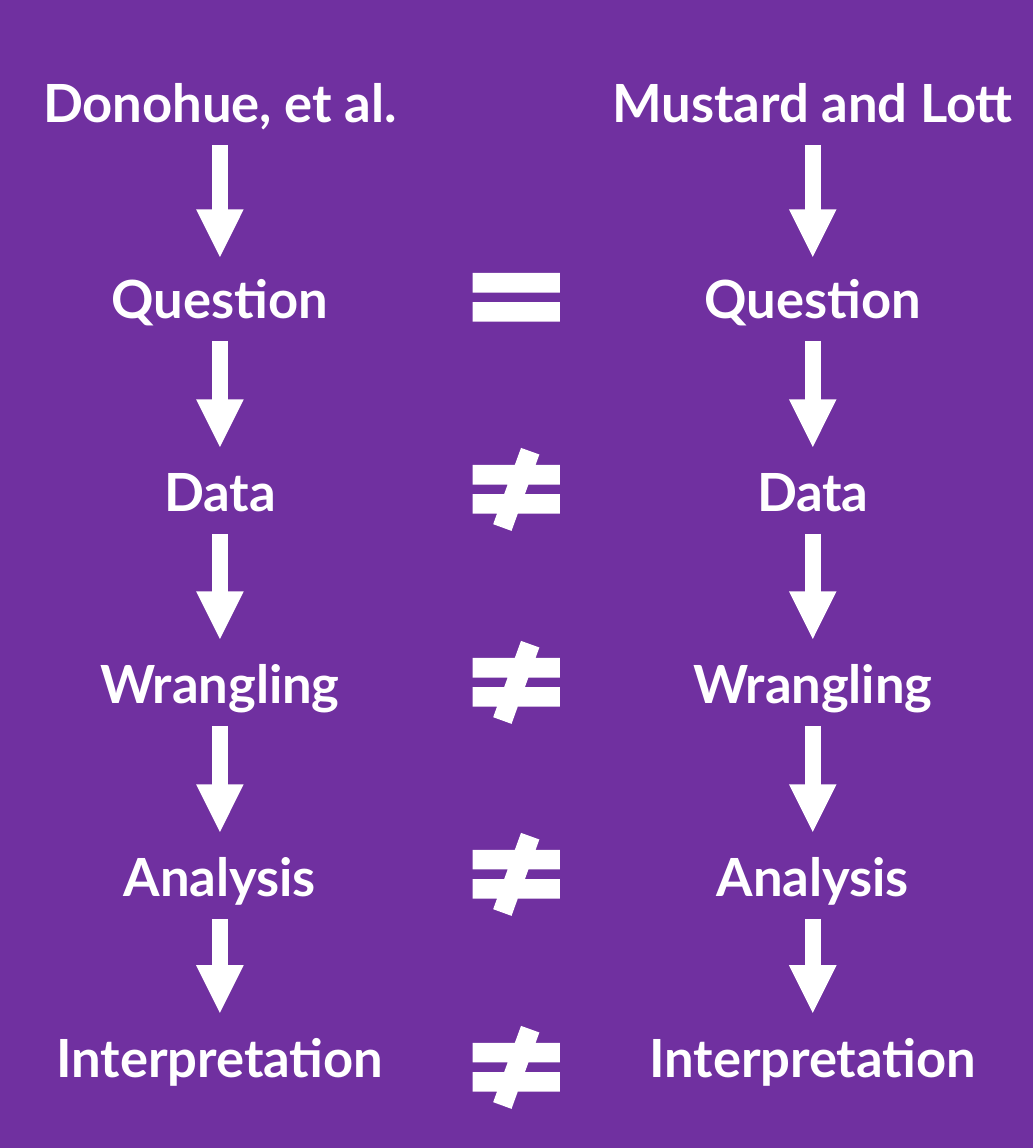
from dataclasses import dataclass

import pptx
import pptx.dml.color
import pptx.enum.shapes
import pptx.enum.text
import pptx.oxml
import pptx.oxml.ns
import pptx.slide
import pptx.util

PURPLE = pptx.dml.color.RGBColor(0x70, 0x30, 0xA0)
WHITE = pptx.dml.color.RGBColor(0xFF, 0xFF, 0xFF)
EMU_PER_PIXEL = 914400 / 229.6
BOX_WIDTH, BOX_HEIGHT = 592, 87
MARK_LEFT, MARK_TOP, MARK_WIDTH, MARK_HEIGHT = 457, 256, 119, 83
TWO_MARK_PITCHES = 385
EQUAL = pptx.enum.shapes.MSO_SHAPE.MATH_EQUAL
NOT_EQUAL = pptx.enum.shapes.MSO_SHAPE.MATH_NOT_EQUAL


@dataclass(frozen=True)
class Study:
    authors: str
    left: int


@dataclass(frozen=True)
class Step:
    label: str
    top: int
    arrow_tip: int
    mark: pptx.enum.shapes.MSO_SHAPE


STUDIES = [Study("Donohue, et al.", -76), Study("Mustard and Lott", 517)]
AUTHORS_TOP = 58
STEPS = [
    Step("Question", 254, 257, EQUAL),
    Step("Data", 447, 447, NOT_EQUAL),
    Step("Wrangling", 639, 639, NOT_EQUAL),
    Step("Analysis", 832, 832, NOT_EQUAL),
    Step("Interpretation", 1013, 1013, NOT_EQUAL),
]


def px(pixels: int) -> pptx.util.Emu:
    return pptx.util.Emu(round(pixels * EMU_PER_PIXEL))


def add_label(page: pptx.slide.Slide, text: str, left: int, top: int) -> None:
    box = page.shapes.add_textbox(px(left), px(top), px(BOX_WIDTH), px(BOX_HEIGHT))
    frame = box.text_frame
    frame.word_wrap = True
    frame.auto_size = pptx.enum.text.MSO_AUTO_SIZE.SHAPE_TO_FIT_TEXT
    frame.vertical_anchor = pptx.enum.text.MSO_ANCHOR.MIDDLE
    para = frame.paragraphs[0]
    para.alignment = pptx.enum.text.PP_ALIGN.CENTER
    span = para.add_run()
    span.text = text
    span.font.name = "Lato"
    span.font.size = pptx.util.Pt(16.5)
    span.font.bold = True
    span.font.color.rgb = WHITE


def add_arrow(page: pptx.slide.Slide, center: int, start: int, tip: int) -> None:
    arrow = page.shapes.add_connector(
        pptx.enum.shapes.MSO_CONNECTOR.STRAIGHT,
        px(center), px(start), px(center), px(tip),
    )
    arrow.line.color.rgb = WHITE
    arrow.line.width = pptx.util.Pt(5)
    head = pptx.oxml.parse_xml(
        f'<a:tailEnd {pptx.oxml.ns.nsdecls("a")} type="triangle"/>'
    )
    arrow.line._get_or_add_ln().append(head)
    arrow._element.spPr.append(
        pptx.oxml.parse_xml(f'<a:effectLst {pptx.oxml.ns.nsdecls("a")}/>')
    )


def add_mark(page: pptx.slide.Slide, kind: pptx.enum.shapes.MSO_SHAPE, row: int) -> None:
    top = MARK_TOP + row * TWO_MARK_PITCHES // 2
    mark = page.shapes.add_shape(
        kind, px(MARK_LEFT), px(top), px(MARK_WIDTH), px(MARK_HEIGHT)
    )
    mark.shadow.inherit = False
    mark.fill.solid()
    mark.fill.fore_color.rgb = WHITE
    mark.line.fill.background()


def add_study(page: pptx.slide.Slide, study: Study) -> None:
    add_label(page, study.authors, study.left, AUTHORS_TOP)
    previous_top = AUTHORS_TOP
    for step in STEPS:
        add_label(page, step.label, study.left, step.top)
        add_arrow(
            page, study.left + BOX_WIDTH // 2,
            previous_top + BOX_HEIGHT, step.arrow_tip,
        )
        previous_top = step.top


def main() -> None:
    deck = pptx.Presentation()
    deck.slide_width = pptx.util.Inches(4.5)
    deck.slide_height = pptx.util.Inches(5)
    page = deck.slides.add_slide(deck.slide_layouts[6])
    page.background.fill.solid()
    page.background.fill.fore_color.rgb = PURPLE
    for study in STUDIES:
        add_study(page, study)
    for row, step in enumerate(STEPS):
        add_mark(page, step.mark, row)
    deck.save("out.pptx")


main()
